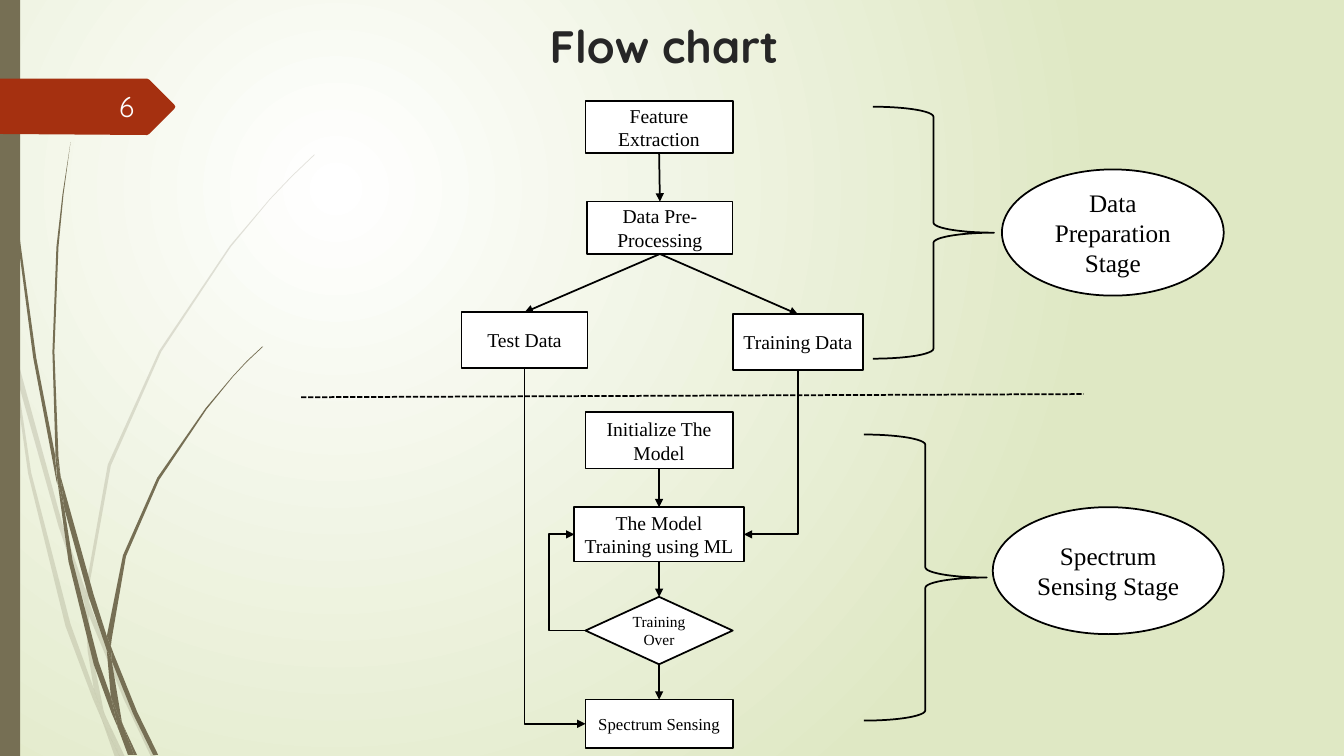
from lxml.etree import SubElement
from pptx import Presentation
from pptx.dml.color import RGBColor
from pptx.enum.dml import MSO_LINE
from pptx.enum.shapes import MSO_CONNECTOR, MSO_SHAPE
from pptx.enum.text import MSO_ANCHOR, PP_ALIGN
from pptx.oxml.ns import qn
from pptx.util import Cm, Pt

COLORS = {"white": "FFFFFF", "green": "DFE8C4", "olive": "766F54", "red": "A53010",
          "black": "000000", "title": "262626", "number": "FEFFFF"}
SERIF, SANS = "Times New Roman", "Quicksand"
TOP, LEFT, BOTTOM, RIGHT = range(4)
UNIT = Cm(0.0254)  # outline points are hundredths of an inch

PALE_BLADES = [
    [(11, 350), (9, 322), (0, 282), (0, 299), (10, 344)],
    [(58, 522), (84, 599), (85, 586), (62, 520), (14, 345), (17, 376)],
    [(92, 607), (88, 596), (88, 610), (123, 694), (150, 751), (155, 751), (127, 692)],
    [(119, 751), (124, 751), (105, 711)],
    [(93, 683), (70, 619), (31, 469), (17, 376), (11, 350), (28, 470), (65, 621),
     (92, 693), (101, 714), (99, 707)],
    [(84, 599), (87, 646), (93, 683), (96, 692), (105, 711), (103, 706), (91, 646),
     (88, 610), (88, 608)],
    [(88, 584), (110, 462), (160, 349), (229, 245), (268, 198), (290, 175), (312, 154),
     (312, 153), (289, 175), (268, 197), (228, 244), (158, 348), (107, 461), (85, 584),
     (85, 586), (88, 596)],
    [(101, 714), (114, 751), (119, 751)],
    [(88, 608), (88, 610), (88, 596), (85, 586), (84, 599)],
    [(96, 692), (93, 683), (99, 707), (101, 714), (119, 751), (105, 711)],
]
DARK_BLADES = [
    [(7, 110), (17, 233), (33, 355), (56, 477), (57, 481), (55, 457), (55, 453), (36, 355),
     (19, 232), (8, 109), (5, 48), (4, 0), (3, 0), (4, 48)],
    [(88, 592), (106, 645), (106, 633), (106, 631), (93, 590), (60, 472), (64, 505)],
    [(113, 649), (110, 641), (111, 656), (132, 708), (152, 749), (157, 749), (136, 706)],
    [(110, 691), (98, 657), (72, 556), (64, 505), (57, 477), (68, 557), (93, 659),
     (111, 708), (117, 722), (116, 717)],
    [(60, 472), (58, 453), (54, 349), (58, 245), (63, 193), (70, 141), (62, 193),
     (56, 245), (52, 349), (55, 449)],
    [(133, 749), (136, 749), (122, 719)],
    [(57, 477), (64, 505), (60, 472), (55, 449), (55, 453)],
    [(111, 633), (125, 552), (158, 476), (205, 406), (231, 374), (245, 359), (261, 344),
     (260, 344), (245, 358), (231, 373), (204, 405), (156, 474), (122, 551), (106, 631),
     (110, 641)],
    [(117, 722), (127, 749), (131, 749)],
    [(106, 645), (110, 691), (116, 706), (122, 719), (121, 716), (111, 656), (109, 651)],
    [(106, 645), (109, 651), (111, 656), (110, 641), (106, 631), (106, 633)],
    [(116, 706), (110, 691), (116, 717), (117, 722), (130, 749), (133, 749), (122, 719)],
]
TAG = [(0, 78), (146, 78), (148, 79), (173, 104), (174, 106), (173, 108), (148, 133),
       (146, 134), (0, 133)]


def rgb(name):
    """Look up a named colour."""
    return RGBColor.from_string(COLORS[name])


def write(sp, text, size, font=SERIF, color="black", align=PP_ALIGN.CENTER,
          anchor=MSO_ANCHOR.MIDDLE, bold=False):
    """Put one styled paragraph in a shape."""
    tf = sp.text_frame
    tf.word_wrap, tf.vertical_anchor = True, anchor
    p = tf.paragraphs[0]
    p.text, p.alignment = text, align
    p.font.size, p.font.name, p.font.bold = Pt(size), font, bold
    p.font.color.rgb = rgb(color)


def style(sp, fill=None, line=None):
    """Set fill and outline, without shadow."""
    sp.shadow.inherit = False
    if fill:
        sp.fill.solid()
        sp.fill.fore_color.rgb = rgb(fill)
    else:
        sp.fill.background()
    if line:
        sp.line.color.rgb, sp.line.width = rgb(line), Pt(1.25)
    else:
        sp.line.fill.background()


def add_preset(slide, kind, box, fill="white", line="black"):
    """Add a preset shape in a box given in cm."""
    sp = slide.shapes.add_shape(kind, *map(Cm, box))
    style(sp, fill, line)
    return sp


def add_outline(slide, origin, points, fill, alpha=None):
    """Add a filled polygon from points relative to an origin in cm."""
    builder = slide.shapes.build_freeform(*points[0], scale=UNIT)
    builder.add_line_segments(points[1:], close=True)
    sp = builder.convert_to_shape(*map(Cm, origin))
    style(sp, fill)
    if alpha:
        clr = sp._element.spPr.find(".//" + qn("a:srgbClr"))
        SubElement(clr, qn("a:alpha"), val=str(alpha * 1000))


def add_line(slide, kind=MSO_CONNECTOR.STRAIGHT, ends=(0, 0, 0, 0), arrow=True):
    """Add a black connector, with an arrowhead if wanted."""
    c = slide.shapes.add_connector(kind, *map(Cm, ends))
    c.line.color.rgb, c.line.width = rgb("black"), Pt(1.25)
    if arrow:
        SubElement(c.line._get_or_add_ln(), qn("a:tailEnd"), type="triangle")
    SubElement(c._element.spPr, qn("a:effectLst"))
    return c


def add_link(slide, start, start_site, end, end_site):
    """Join two nodes with a straight arrow."""
    c = add_line(slide)
    c.begin_connect(start, start_site)
    c.end_connect(end, end_site)


def add_elbow(slide, start, start_site, end, end_site, rot, flip=False, adj=None):
    """Join two nodes with a bent arrow: one corner, or two if adj is given."""
    c = add_line(slide, MSO_CONNECTOR.ELBOW)
    c.begin_connect(start, start_site)
    c.end_connect(end, end_site)
    mid_x, mid_y = (c.begin_x + c.end_x) // 2, (c.begin_y + c.end_y) // 2
    w, h = abs(c.end_x - c.begin_x), abs(c.end_y - c.begin_y)
    if rot % 180:
        w, h = h, w
    c.left, c.top, c.width, c.height = mid_x - w // 2, mid_y - h // 2, w, h
    xfrm = c._element.spPr.find(qn("a:xfrm"))
    xfrm.set("rot", str(rot * 60000))
    xfrm.set("flipH", str(int(flip)))
    xfrm.set("flipV", "0")
    geom = c._element.spPr.find(qn("a:prstGeom"))
    geom.set("prst", "bentConnector3" if adj else "bentConnector2")
    if adj:
        SubElement(geom.find(qn("a:avLst")), qn("a:gd"), name="adj1", fmla=f"val {adj}")


def draw_background(slide):
    """Fill the slide with a circular gradient."""
    fill = slide.background.fill
    fill.gradient()
    for stop, name in zip(fill.gradient_stops, ("white", "green")):
        stop.color.rgb = rgb(name)
    grad = slide._element.find(".//" + qn("a:gradFill"))
    grad.remove(grad.find(qn("a:lin")))
    circle = SubElement(grad, qn("a:path"), path="circle")
    SubElement(circle, qn("a:fillToRect"), l="50000", t="50000", r="100000", b="100000")


def draw_margin(slide, box, number):
    """Draw the grass blades, side bar and numbered tag."""
    x, y, w, h = box
    for blades, alpha in ((PALE_BLADES, 20), (DARK_BLADES, None)):
        for points in blades:
            add_outline(slide, (x, y), points, "olive", alpha)
    add_preset(slide, MSO_SHAPE.RECTANGLE, (x, y, 0.51, h), "olive", None)
    add_outline(slide, (x, y), TAG, "red")
    tb = slide.shapes.add_textbox(Cm(x + 1.47), Cm(y + 2.18), Cm(w - 2.26), Cm(1.02))
    write(tb, number, 20, SANS, "number", PP_ALIGN.RIGHT)


def draw_title(slide, box, text):
    """Write the slide title."""
    tb = slide.shapes.add_textbox(*map(Cm, box))
    write(tb, text, 32.4, SANS, "title", anchor=MSO_ANCHOR.TOP, bold=True)


def draw_flow(slide, box):
    """Draw the flow chart nodes and their arrows."""
    x, y, w, h = box
    mid = w / 2

    def node(text, cx, top, width, height, size=14, kind=MSO_SHAPE.RECTANGLE):
        """Add a node centred on cx."""
        sp = add_preset(slide, kind, (x + cx - width / 2, y + top, width, height))
        write(sp, text, size)
        return sp

    feature = node("Feature Extraction", mid, 0, 3.71, 1.32)
    prep = node("Data Pre-Processing", mid + 0.02, 2.54, 3.66, 1.32)
    test = node("Test Data", 1.59, 5.33, 3.18, 1.4)
    train = node("Training Data", 8.48, 5.38, 3.28, 1.4)
    init = node("Initialize The Model", mid, 7.85, 3.71, 1.42)
    model = node("The Model Training using ML", mid, 10.24, 4.27, 1.37)
    over = node("Training Over", mid, 12.5, 3.71, 1.7, 11, MSO_SHAPE.FLOWCHART_DECISION)
    sensing = node("Spectrum Sensing", mid, h - 1.22, 3.71, 1.22, 12)

    for start, end in ((feature, prep), (prep, test), (prep, train), (init, model),
                       (model, over), (over, sensing)):
        add_link(slide, start, BOTTOM, end, TOP)
    add_elbow(slide, train, BOTTOM, model, RIGHT, 90)
    add_elbow(slide, test, BOTTOM, sensing, LEFT, 270, flip=True)
    add_elbow(slide, over, LEFT, model, LEFT, 180, adj=330400)


def draw_stage(slide, brace, oval, text):
    """Draw a brace and the oval that names its stage."""
    add_preset(slide, MSO_SHAPE.RIGHT_BRACE, brace, None)
    write(add_preset(slide, MSO_SHAPE.OVAL, oval), text, 18)


prs = Presentation()
prs.slide_width, prs.slide_height = Cm(33.87), Cm(19.05)
slide = prs.slides.add_slide(prs.slide_layouts[6])
draw_background(slide)
draw_margin(slide, (0, 0, 4.42, 19.05), "6")
draw_title(slide, (12.19, 0.33, 9.09, 1.63), "Flow chart")
draw_flow(slide, (11.63, 2.54, 9.96, 16.31))
divider = add_line(slide, ends=(7.59, 10.01, 27.31, 9.93), arrow=False)
divider.line.dash_style = MSO_LINE.SQUARE_DOT
draw_stage(slide, (22, 2.69, 3.05, 6.35), (25.25, 4.27, 5.59, 3.18), "Data Preparation Stage")
draw_stage(slide, (21.77, 10.95, 3.1, 7.21), (25.02, 12.78, 5.82, 3.2), "Spectrum Sensing Stage")
prs.save("out.pptx")
